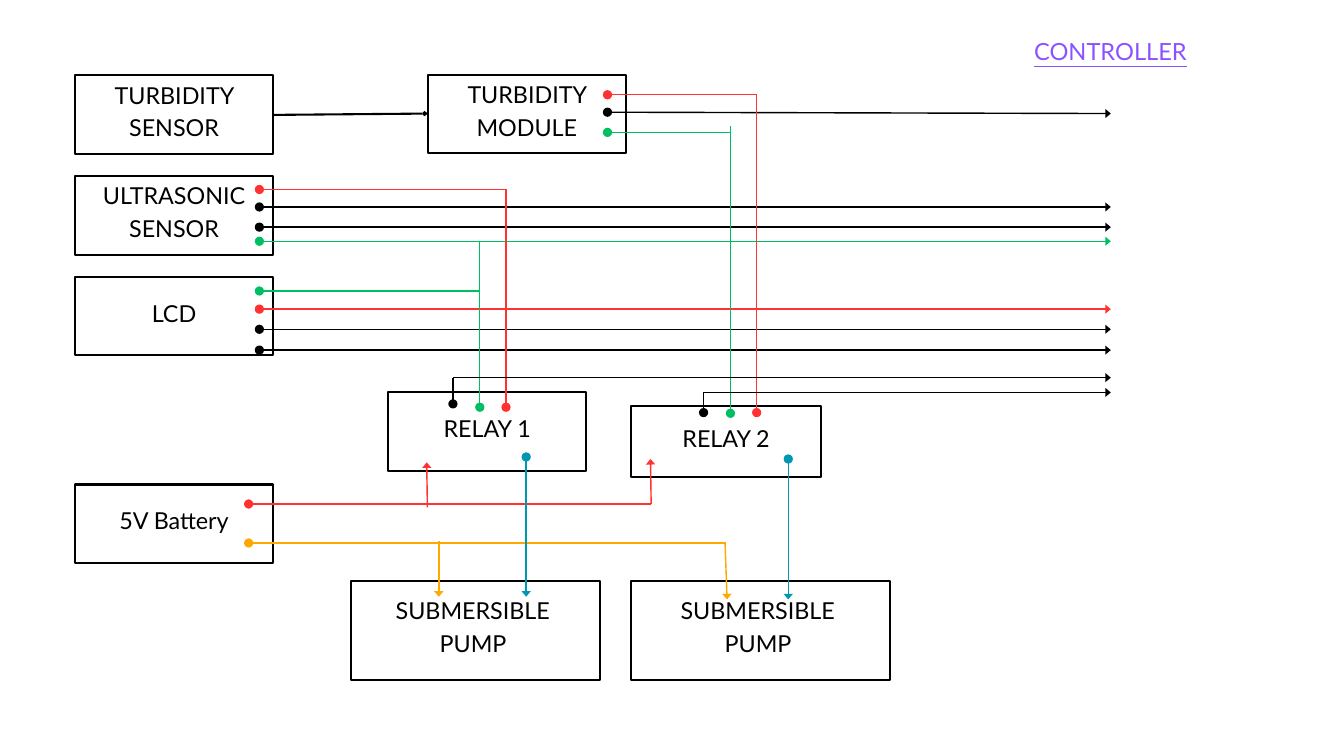
import dataclasses

import lxml.etree
import pptx
import pptx.dml.color
import pptx.enum.shapes
import pptx.enum.text
import pptx.oxml.ns
import pptx.util


@dataclasses.dataclass(frozen=True)
class Theme:
    font: str = "Lato"
    size: float = 25
    lead: float = 35
    black: str = "000000"
    white: str = "FFFFFF"
    red: str = "FF3131"
    green: str = "00BF63"
    amber: str = "FFA800"
    teal: str = "0097B2"
    violet: str = "8C52FF"
    edge: float = 2.25
    wire: float = 1.5


@dataclasses.dataclass(frozen=True)
class Box:
    text: str
    left: float
    top: float
    width: float = 2.94
    height: float = 1.17


@dataclasses.dataclass(frozen=True)
class Wire:
    color: str
    start: tuple[float, float]
    end: tuple[float, float]
    dot: bool = False
    tip: bool = False


T = Theme()
LEFT = 1.12     # left edge of the sensor column
PIN = 3.86      # pins of the sensors
PORT = 9.04     # pins of the turbidity module
CELL = 3.7      # pins of the battery
BOARD = 16.53   # where signals reach the board
PUMP = "SUBMERSIBLE \nPUMP "

BOXES = [
    Box("TURBIDITY SENSOR", LEFT, 1.12),
    Box("TURBIDITY MODULE", 6.37, 1.11),
    Box("ULTRASONIC SENSOR", LEFT, 2.62),
    Box("LCD", LEFT, 4.12),
    Box("5V Battery", LEFT, 7.21),
    Box("RELAY 1", 5.78, 5.84),
    Box("RELAY 2", 9.39, 6.04, 2.83, 1.06),
    Box(PUMP, 5.23, 8.64, 3.7, 1.48),
    Box(PUMP, 9.39, 8.64, 3.86, 1.48),
]

WIRES = [
    # Turbidity module
    Wire(T.red, (PORT, 1.41), (11.26, 1.41), dot=True),
    Wire(T.black, (PORT, 1.67), (BOARD, 1.69), dot=True, tip=True),
    Wire(T.green, (PORT, 1.97), (10.87, 1.97), dot=True),
    # Ultrasonic sensor and display
    Wire(T.red, (PIN, 2.82), (7.53, 2.82), dot=True),
    Wire(T.green, (PIN, 4.33), (7.14, 4.33), dot=True),
    *[Wire(color, (PIN, y), (BOARD, y), dot=True, tip=True)
      for color, y in [(T.black, 3.08), (T.black, 3.38), (T.green, 3.59),
                       (T.red, 4.6), (T.black, 4.9), (T.black, 5.21)]],
    # Relay inputs
    *[Wire(color, (x, low), (x, high), dot=True)
      for color, x, low, high in [
          (T.black, 6.74, 6.01, 5.62), (T.green, 7.14, 6.06, 3.59),
          (T.red, 7.53, 6.06, 2.82), (T.black, 10.47, 6.14, 5.84),
          (T.green, 10.87, 6.15, 1.88), (T.red, 11.26, 6.14, 1.41)]],
    Wire(T.black, (6.74, 5.62), (BOARD, 5.62), tip=True),
    Wire(T.black, (10.47, 5.84), (BOARD, 5.84), tip=True),
    # Battery feeds
    Wire(T.red, (CELL, 7.5), (9.69, 7.5), dot=True),
    Wire(T.red, (6.36, 7.55), (6.35, 6.88), tip=True),
    Wire(T.red, (9.69, 7.5), (9.68, 6.83), tip=True),
    Wire(T.amber, (CELL, 8.08), (10.8, 8.08), dot=True),
    Wire(T.amber, (6.53, 8.05), (6.53, 8.88), tip=True),
    Wire(T.amber, (10.79, 8.08), (10.82, 8.92), tip=True),
    # Relay outputs to the pumps
    Wire(T.teal, (7.83, 6.8), (7.83, 8.88), dot=True, tip=True),
    Wire(T.teal, (11.73, 6.83), (11.73, 8.92), dot=True, tip=True),
]


def span(inch: float) -> pptx.util.Length:
    return pptx.util.Cm(inch * 2.54)


def tint(code: str) -> pptx.dml.color.RGBColor:
    return pptx.dml.color.RGBColor.from_string(code)


def write(shape, text: str, *, color: str = T.black, size: float = T.size,
          lead: float = T.lead, line: bool = False, middle: bool = True,
          pads: tuple = (0, 0, 0, 0)) -> None:
    frame = shape.text_frame
    frame.word_wrap = True
    anchor = pptx.enum.text.MSO_ANCHOR
    frame.vertical_anchor = anchor.MIDDLE if middle else anchor.TOP
    (frame.margin_left, frame.margin_top,
     frame.margin_right, frame.margin_bottom) = map(span, pads)
    frame.text = text
    for para in frame.paragraphs:
        para.alignment = pptx.enum.text.PP_ALIGN.CENTER
        para.line_spacing = pptx.util.Pt(lead)
        for run in para.runs:
            run.font.name = T.font
            run.font.size = pptx.util.Pt(size)
            run.font.color.rgb = tint(color)
            if line:
                run.font.underline = True


def draw_box(slide, box: Box) -> None:
    shape = slide.shapes.add_shape(
        pptx.enum.shapes.MSO_SHAPE.RECTANGLE,
        *map(span, (box.left, box.top, box.width, box.height)))
    shape.shadow.inherit = False
    shape.fill.solid()
    shape.fill.fore_color.rgb = tint(T.white)
    shape.line.color.rgb = tint(T.black)
    shape.line.width = pptx.util.Pt(T.edge)
    # The deeper bottom pad lifts the label a little above the middle
    write(shape, box.text, pads=(0.06, 0.06, 0.06, 0.23))


def draw_wire(slide, wire: Wire, width: float = T.wire,
              tip: tuple[str, str, str] = ("triangle", "lg", "med")) -> None:
    link = slide.shapes.add_connector(
        pptx.enum.shapes.MSO_CONNECTOR.STRAIGHT,
        *map(span, wire.start + wire.end))
    link.line.color.rgb = tint(wire.color)
    link.line.width = pptx.util.Pt(width)
    name = pptx.oxml.ns.qn
    ends = [("a:headEnd", wire.dot, ("oval", "lg", "lg")),
            ("a:tailEnd", wire.tip, tip)]
    for tag, shown, (kind, wide, long) in ends:
        if shown:
            lxml.etree.SubElement(link.line._get_or_add_ln(), name(tag),
                                  type=kind, w=wide, len=long)
    lxml.etree.SubElement(link._element.spPr, name("a:effectLst"))


def main() -> None:
    deck = pptx.Presentation()
    deck.slide_width, deck.slide_height = span(20), span(11.25)
    slide = deck.slides.add_slide(deck.slide_layouts[6])

    # Blocks
    for box in BOXES:
        draw_box(slide, box)

    # Board title
    title = slide.shapes.add_textbox(*map(span, (15.24, 0.48, 2.57, 0.47)))
    write(title, "CONTROLLER", color=T.violet, size=25.3, lead=35.4,
          line=True, middle=False)

    # Wiring
    draw_wire(slide, Wire(T.black, (4.06, 1.71), (6.37, 1.69), tip=True),
              width=T.edge, tip=("arrow", "sm", "sm"))
    for wire in WIRES:
        draw_wire(slide, wire)

    deck.save("out.pptx")


if __name__ == "__main__":
    main()
